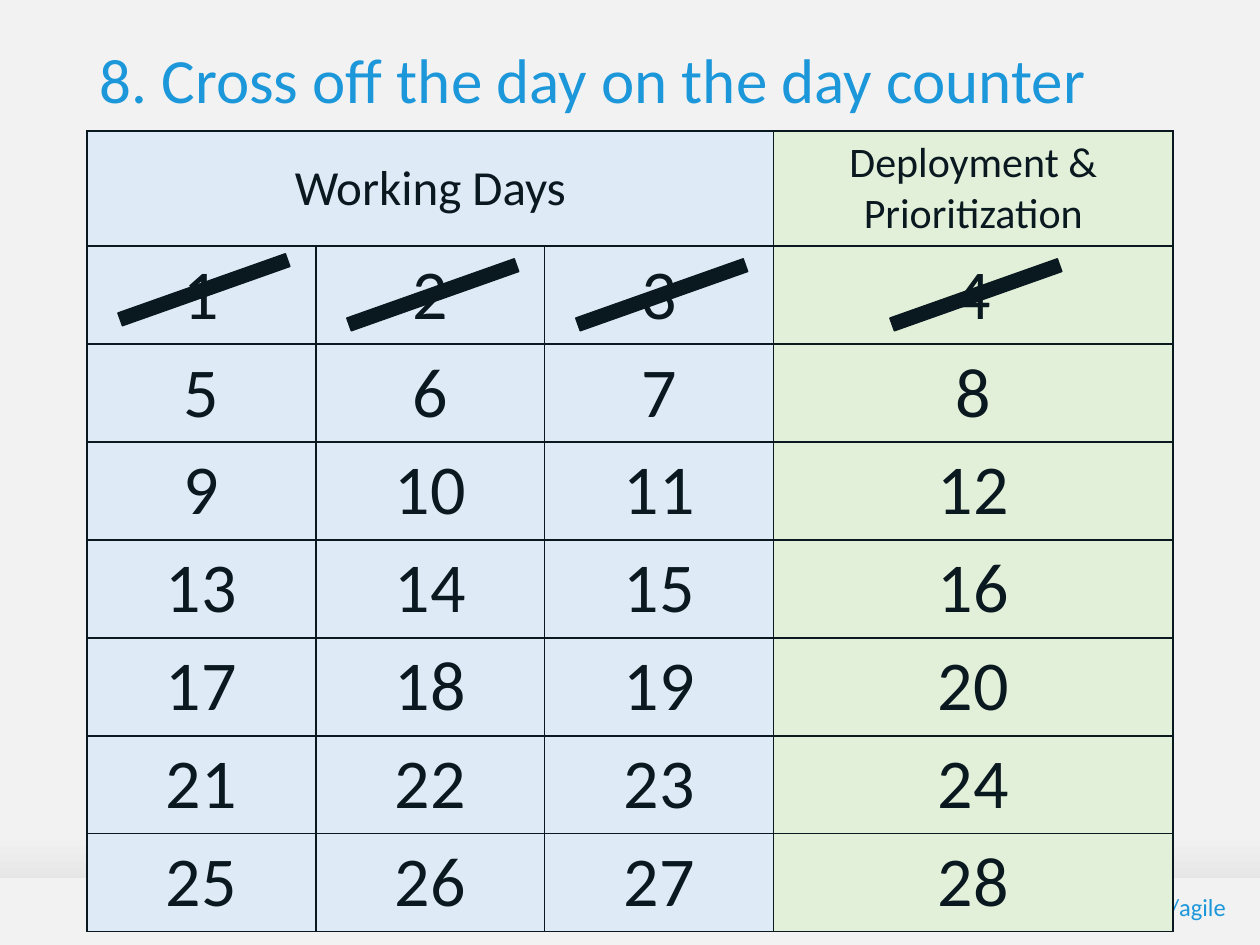
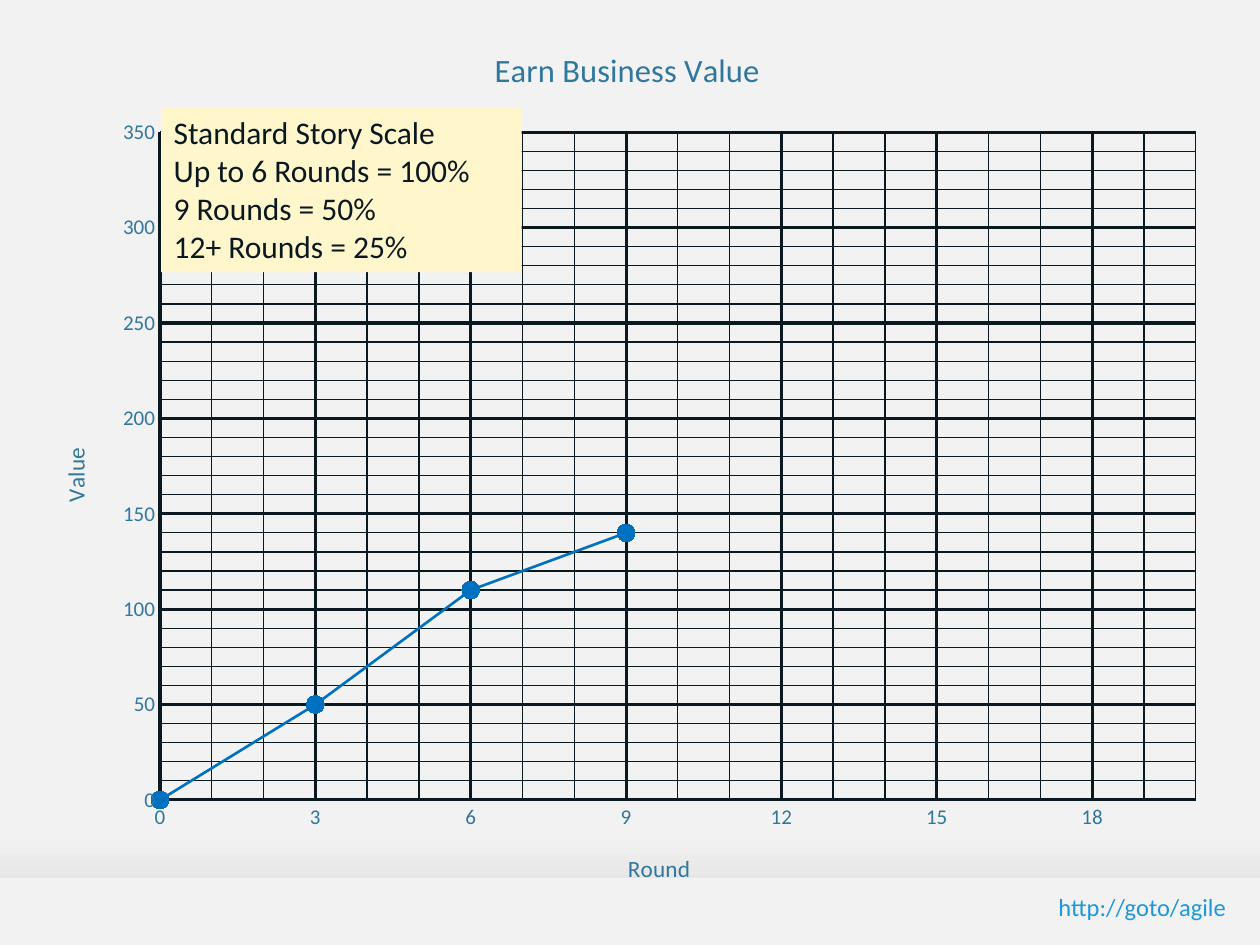
from copy import deepcopy

from lxml.etree import SubElement
from pptx import Presentation
from pptx.chart.data import XyChartData
from pptx.dml.color import RGBColor
from pptx.enum.chart import XL_CHART_TYPE as ChartType
from pptx.enum.chart import XL_MARKER_STYLE as Marker
from pptx.enum.chart import XL_TICK_MARK as TickMark
from pptx.enum.shapes import MSO_SHAPE as Shape
from pptx.enum.text import MSO_ANCHOR as Anchor
from pptx.enum.text import MSO_AUTO_SIZE as AutoSize
from pptx.enum.text import PP_ALIGN as Align
from pptx.oxml.ns import qn
from pptx.util import Inches, Pt

FONT = "Calibri"
INK, PAPER, SHADE = "0A1820", "F2F2F2", "D3D3D3"
ACCENT, AXIS_TEXT, SERIES = "1C97DA", "31769D", "0070C0"
WORK_DAY, DEPLOY_DAY, NOTE = "DEEBF7", "E2F0D9", "FFF6CC"

TITLE_ONLY, BLANK = 5, 6
COLUMN_WIDTHS = [5.45 / 3] * 3 + [3.17]
HEADER_HEIGHT, ROW_HEIGHT, WEEKS = 0.9, 0.77, 7
CHART_WIDTH, CHART_HEIGHT = 9.41, 7.1


def color(value):
    return RGBColor.from_string(value)


def inches(box):
    return [Inches(length) for length in box]


def style_font(font, size, ink):
    font.name, font.size, font.bold = FONT, Pt(size), False
    font.color.rgb = color(ink)


def write(frame, text, size, ink, align=Align.LEFT):
    frame.text = text
    for para in frame.paragraphs:
        para.alignment = align
        for span in para.runs:
            style_font(span.font, size, ink)


def add_block(page, kind, box, fill):
    block = page.shapes.add_shape(kind, *inches(box))
    block.shadow.inherit = False
    block.fill.solid()
    block.fill.fore_color.rgb = color(fill)
    block.line.fill.background()
    return block


# Shared backdrop, kept on the master
def add_backdrop(deck, page):
    master = deck.slide_master
    master.background.fill.solid()
    master.background.fill.fore_color.rgb = color(PAPER)

    glow = add_block(page, Shape.RECTANGLE, (0, 0, 10, 7.51), PAPER)
    glow.fill.gradient()
    glow.fill.gradient_angle = 90
    for stop, place, tint in zip(glow.fill.gradient_stops, (0, 0.12), (SHADE, PAPER)):
        stop.position = place
        stop.color.rgb = color(tint)
    footer = add_block(page, Shape.RECTANGLE, (0, 6.97, 10, 0.55), PAPER)

    link = page.shapes.add_textbox(*inches((8.07, 7.04, 1.66, 0.31)))
    frame = link.text_frame
    frame.word_wrap = True
    frame.vertical_anchor = Anchor.MIDDLE
    frame.margin_left = frame.margin_right = frame.margin_top = frame.margin_bottom = 0
    write(frame, "http://goto/agile", 14, ACCENT, Align.RIGHT)

    tree = master.shapes.element
    for index, part in enumerate((glow, footer, link)):
        part.element.nvSpPr.cNvPr.set("id", str(50 + index))
        tree.insert(2 + index, part.element)


def set_title(page, text, box):
    title = page.shapes.title
    title.left, title.top, title.width, title.height = inches(box)
    title.text_frame.auto_size = AutoSize.NONE
    title.text_frame.vertical_anchor = Anchor.MIDDLE
    write(title.text_frame, text, 36, ACCENT)


# Day counter table
def style_cell(cell, text, size, fill):
    write(cell.text_frame, text, size, INK, Align.CENTER)
    cell.vertical_anchor = Anchor.MIDDLE
    properties = cell._tc.get_or_add_tcPr()
    for side in ("a:lnL", "a:lnR", "a:lnT", "a:lnB"):
        line = SubElement(properties, qn(side), w=str(Pt(1)))
        SubElement(SubElement(line, qn("a:solidFill")), qn("a:srgbClr"), val=INK)
    cell.fill.solid()
    cell.fill.fore_color.rgb = color(fill)


def add_day_counter(page, left, top):
    box = (left, top, sum(COLUMN_WIDTHS), HEADER_HEIGHT + WEEKS * ROW_HEIGHT)
    count = len(COLUMN_WIDTHS)
    table = page.shapes.add_table(WEEKS + 1, count, *inches(box)).table
    table.first_row = table.horz_banding = False
    for column, width in zip(table.columns, COLUMN_WIDTHS):
        column.width = Inches(width)
    for index, row in enumerate(table.rows):
        row.height = Inches(ROW_HEIGHT if index else HEADER_HEIGHT)

    fills = [WORK_DAY] * (count - 1) + [DEPLOY_DAY]
    headers = [("Working Days", 28), ("", 28), ("", 28), ("Deployment & Prioritization", 24)]
    for column, (fill, (header, size)) in enumerate(zip(fills, headers)):
        style_cell(table.cell(0, column), header, size, fill)
        for week in range(WEEKS):
            day = week * count + column + 1
            style_cell(table.cell(week + 1, column), str(day), 40, fill)
    table.cell(0, 0).merge(table.cell(0, count - 2))


def cross_off_first_week(page, left, top):
    width, height = 1.92, 0.46
    for column, cell_width in enumerate(COLUMN_WIDTHS):
        middle = left + sum(COLUMN_WIDTHS[:column]) + cell_width / 2 + 0.02
        lift = 0 if column else 0.04
        box = (middle - width / 2, top + HEADER_HEIGHT + 0.17 - lift, width, height)
        stroke = add_block(page, Shape.MATH_MINUS, box, INK)
        stroke.rotation = 340.5
        stroke.line.color.rgb = color(INK)
        stroke.line.width = Pt(0.75)


def build_day_counter(page):
    left, top = 0.69, 1.04
    set_title(page, "8. Cross off the day on the day counter", (left, 0.2, 8.62, 0.84))
    add_day_counter(page, left, top)
    cross_off_first_week(page, left, top)


# Business value chart
def add_layout(parent, **places):
    """Place a chart part by hand, in inches from the chart's corner."""
    old = parent.find(qn("c:layout"))
    if old is not None:
        parent.remove(old)
    layout = SubElement(parent, qn("c:layout"))
    manual = SubElement(layout, qn("c:manualLayout"))
    if "w" in places:
        SubElement(manual, qn("c:layoutTarget"), val="inner")
    for name in ("xMode", "yMode"):
        SubElement(manual, qn("c:" + name), val="edge")
    for name, length in places.items():
        share = length / (CHART_WIDTH if name in "xw" else CHART_HEIGHT)
        SubElement(manual, qn("c:" + name), val=str(share))
    text = parent.find(qn("c:tx"))
    parent.insert(0 if text is None else parent.index(text) + 1, layout)


def place_title(title, text, size, x, y):
    write(title.text_frame, text, size, AXIS_TEXT, Align.CENTER)
    add_layout(title.element, x=x, y=y)


def style_axis(axis, top_value, major, minor):
    axis.minimum_scale, axis.maximum_scale = 0, top_value
    axis.major_unit, axis.minor_unit = major, minor
    axis.major_tick_mark = axis.minor_tick_mark = TickMark.NONE
    style_font(axis.tick_labels.font, 12, AXIS_TEXT)
    axis.has_major_gridlines = axis.has_minor_gridlines = True
    grid = axis.major_gridlines.format.line
    for line in (axis.format.line, grid):
        line.color.rgb = color(INK)
        line.width = Pt(0.75)
    # Minor lines take the thin style before the major ones are thickened
    axes = axis._element
    thin = deepcopy(axes.find(qn("c:majorGridlines")).find(qn("c:spPr")))
    axes.find(qn("c:minorGridlines")).append(thin)
    grid.width = Pt(1.75)


def add_value_chart(page, left, top):
    data = XyChartData()
    points = data.add_series("Series 1")
    for round_number, value in ((0, 0), (3, 50), (6, 110), (9, 140)):
        points.add_data_point(round_number, value)
    box = inches((left, top, CHART_WIDTH, CHART_HEIGHT))
    chart = page.shapes.add_chart(ChartType.XY_SCATTER_LINES, *box, data).chart
    chart.has_legend = False
    style_font(chart.font, 10, INK)
    chart.plots[0].vary_by_categories = False
    rounds, values = chart.category_axis, chart.value_axis
    style_axis(rounds, 20, 3, 1)
    style_axis(values, 350, 50, 10)

    chart.has_title = True
    place_title(chart.chart_title, "Earn Business Value", 18.6, 3.61, 0.19)
    place_title(rounds.axis_title, "Round", 13.3, 4.68, 6.59)
    place_title(values.axis_title, "Value", 13.3, 0.17, 3.38)
    turned = values.axis_title.element.find(".//" + qn("a:bodyPr"))
    turned.set("rot", "-5400000")
    turned.set("vert", "horz")
    plot_area = chart.element.find(".//" + qn("c:plotArea"))
    add_layout(plot_area, x=1, y=0.91, w=8.22, h=5.3)

    series = chart.plots[0].series[0]
    series.smooth = False
    series.format.line.color.rgb = color(SERIES)
    series.format.line.width = Pt(1.5)
    marker = series.marker
    marker.style, marker.size = Marker.CIRCLE, 10
    marker.format.fill.solid()
    marker.format.fill.fore_color.rgb = color(SERIES)
    marker.format.line.color.rgb = color(SERIES)


def add_scale_note(page, box):
    frame = add_block(page, Shape.RECTANGLE, box, NOTE).text_frame
    frame.word_wrap = True
    frame.auto_size = AutoSize.SHAPE_TO_FIT_TEXT
    frame.vertical_anchor = Anchor.TOP
    lines = ["Standard Story Scale", "Up to 6 Rounds = 100%", "9 Rounds = 50%", "12+ Rounds = 25%"]
    write(frame, "\n".join(lines), 18, INK)


def build_value_chart(page):
    add_value_chart(page, 0.27, 0.14)
    add_scale_note(page, (1.28, 0.85, 2.86, 1.31))


def main():
    deck = Presentation()
    deck.slide_width, deck.slide_height = Inches(10), Inches(7.5)
    counter_page = deck.slides.add_slide(deck.slide_layouts[TITLE_ONLY])
    add_backdrop(deck, counter_page)
    build_day_counter(counter_page)
    build_value_chart(deck.slides.add_slide(deck.slide_layouts[BLANK]))
    deck.save("out.pptx")


if __name__ == "__main__":
    main()
